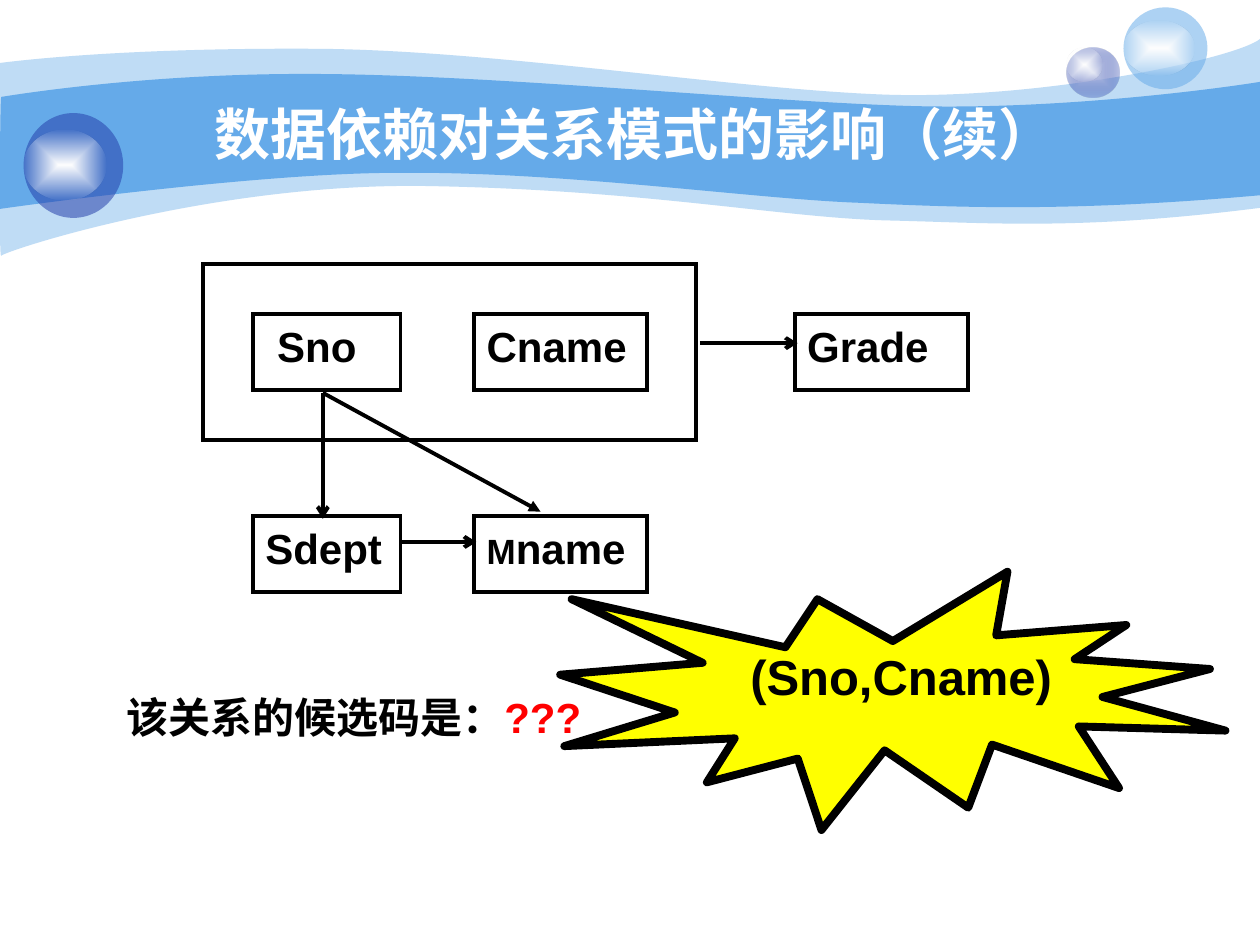
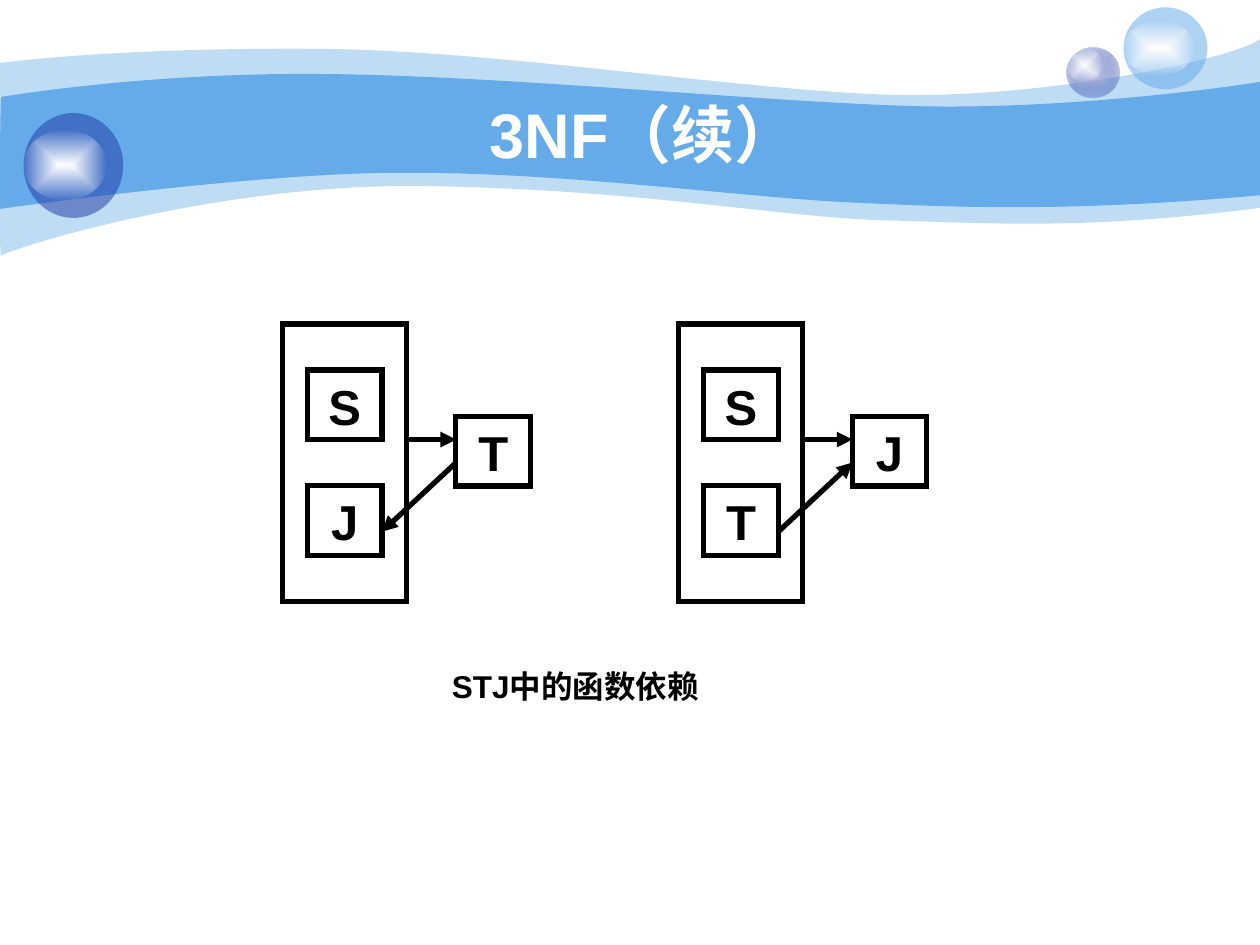
from dataclasses import dataclass

from lxml import etree
from pptx import Presentation
from pptx.dml.color import RGBColor
from pptx.enum.shapes import MSO_CONNECTOR, MSO_SHAPE
from pptx.enum.text import MSO_ANCHOR, PP_ALIGN
from pptx.oxml.ns import qn
from pptx.util import Pt

RECTANGLE = MSO_SHAPE.RECTANGLE
OVAL = MSO_SHAPE.OVAL
SEAL = MSO_SHAPE.EXPLOSION1
STRAIGHT = MSO_CONNECTOR.STRAIGHT
TOP, MIDDLE = MSO_ANCHOR.TOP, MSO_ANCHOR.MIDDLE
LEFT, CENTER = PP_ALIGN.LEFT, PP_ALIGN.CENTER
BLANK_LAYOUT = 6


@dataclass(frozen=True)
class Theme:
    font: str = "Arial"
    white: str = "FFFFFF"
    ink: str = "000000"
    sky: str = "65AAE9"
    deep: str = "233DA9"
    lilac: str = "C7CEE9"
    yellow: str = "FFFF00"
    red: str = "FF0000"
    title: float = 32
    title_large: float = 36
    letter: float = 28
    body: float = 24
    initial: float = 20
    caption: float = 18


THEME = Theme()

# Each band: start point, then its sides; six numbers make a curve, two a line
WIDE_BAND = ((0, 36), [
    (17.3, 33.8, 77, 27.4, 177.8, 27.9),
    (277.9, 28.1, 414, 50.4, 503.3, 54),
    (591.8, 57.6, 705.6, 33.8, 720, 22.3),
    (720, 118.8),
    (617.8, 131.8, 566.6, 127.4, 507.6, 126),
    (447.8, 124.6, 370.8, 108.7, 247, 106.4),
    (123.8, 103.7, 2.9, 143.3, 0.7, 146.2),
    (-0.7, 149.8, 0, 54, 0, 36),
])
CORE_BAND = ((0.7, 55.4), [
    (1.4, 55.4, 79.2, 41.8, 178.6, 42.3),
    (277.9, 42.5, 428.4, 57.6, 517, 60.5),
    (605.5, 63.4, 702.7, 49.7, 720, 46.8),
    (720, 111.6),
    (614.2, 121, 550.8, 118.8, 491, 115.9),
    (431.3, 113.8, 321.8, 97.9, 228.2, 98.8),
    (146.2, 98.6, -1.4, 119.5, -0.7, 119.5),
    (0, 119.5, 0, 55.4, 0.7, 55.4),
])

# Each ball: its box, the box of its glow, its gradient stops (colour, opacity)
BALLS = [
    ((609.6, 27.1, 30.2, 28.8), (609.6, 27.1, 20.2, 19.4),
     [(THEME.lilac, 100), (THEME.deep, 31)]),
    ((642, 4.2, 48, 46.8), (642, 12.1, 40.3, 31), [(THEME.sky, 53)]),
    ((13.5, 64.6, 56.9, 59.9), (13.5, 74.4, 47.3, 40.1), [(THEME.deep, 53)]),
]
GLOW = [(THEME.white, 100), (THEME.white, 0)]


def child(parent, tag, **attributes):
    return etree.SubElement(parent, qn(tag), attributes)


def add_colour(parent, colour, opacity):
    node = child(parent, "a:srgbClr", val=colour)
    if opacity < 100:
        child(node, "a:alpha", val=str(opacity * 1000))


def paint(shape, stops):
    """One stop gives a plain fill, two a gradient from the centre outwards."""
    shape.fill.background()
    empty = shape._element.spPr.find(qn("a:noFill"))
    if len(stops) == 1:
        fill = etree.Element(qn("a:solidFill"))
        add_colour(fill, *stops[0])
    else:
        fill = etree.Element(qn("a:gradFill"), rotWithShape="1")
        stop_list = child(fill, "a:gsLst")
        for index, stop in enumerate(stops):
            add_colour(child(stop_list, "a:gs", pos=str(index * 100000)), *stop)
        middle = dict.fromkeys("ltrb", "50000")
        child(child(fill, "a:path", path="rect"), "a:fillToRect", **middle)
    empty.getparent().replace(empty, fill)


def add_figure(page, kind, box, stops=None, line=None):
    shape = page.shapes.add_shape(kind, *(Pt(value) for value in box))
    shape.shadow.inherit = False
    if stops:
        paint(shape, stops)
    else:
        shape.fill.background()
    if line:
        shape.line.color.rgb = RGBColor.from_string(THEME.ink)
        shape.line.width = Pt(line)
    else:
        shape.line.fill.background()
    return shape


def add_frame(page, box, line):
    """An unfilled rectangle with sharp corners."""
    shape = add_figure(page, RECTANGLE, box, line=line)
    child(shape.line._get_or_add_ln(), "a:miter", lim="800000")
    return shape


def write(shape, text, size=THEME.body, colour=THEME.ink, align=LEFT,
          anchor=TOP, indent=0, spacing=None):
    """Text is a string, or a list of (string, size, colour) spans."""
    frame = shape.text_frame
    frame.word_wrap = True
    frame.vertical_anchor = anchor
    frame.margin_left = Pt(7.2 + indent)
    para = frame.paragraphs[0]
    para.alignment = align
    if spacing:
        para.line_spacing = spacing
    spans = [(text, size, colour)] if isinstance(text, str) else text
    for words, span_size, span_colour in spans:
        span = para.add_run()
        span.text = words
        span.font.name = THEME.font
        span.font.size = Pt(span_size)
        span.font.bold = True
        span.font.color.rgb = RGBColor.from_string(span_colour)


def add_text(page, box, text, **format):
    shape = page.shapes.add_textbox(*(Pt(value) for value in box))
    write(shape, text, **format)


def add_arrow(page, start, end, origin, width, head="triangle"):
    left, top = origin
    arrow = page.shapes.add_connector(
        STRAIGHT, Pt(left + start[0]), Pt(top + start[1]),
        Pt(left + end[0]), Pt(top + end[1]))
    arrow.line.color.rgb = RGBColor.from_string(THEME.ink)
    arrow.line.width = Pt(width)
    child(arrow.line._get_or_add_ln(), "a:tailEnd", type=head)
    child(arrow._element.spPr, "a:effectLst")


def add_band(page, band, opacity):
    """Draw the control polygon, then turn each three segments into a curve."""
    start, sides = band
    points = [(Pt(x), Pt(y)) for side in sides
              for x, y in zip(side[::2], side[1::2])]
    builder = page.shapes.build_freeform(Pt(start[0]), Pt(start[1]), scale=1.0)
    builder.add_line_segments(points, close=True)
    shape = builder.convert_to_shape()
    segments = iter(list(shape._element.iter(qn("a:lnTo"))))
    for side in sides:
        parts = [next(segments) for _ in range(len(side) // 2)]
        if len(parts) == 3:
            curve = etree.Element(qn("a:cubicBezTo"))
            parts[0].addprevious(curve)
            for part in parts:
                curve.append(part[0])
                part.getparent().remove(part)
    shape.shadow.inherit = False
    paint(shape, [(THEME.sky, opacity)])
    shape.line.fill.background()


def add_page(deck, title, size, indent=0):
    """A page with the wavy bands, the balls and the title."""
    page = deck.slides.add_slide(deck.slide_layouts[BLANK_LAYOUT])
    add_band(page, WIDE_BAND, 41)
    add_band(page, CORE_BAND, 100)
    for ball, glow, stops in BALLS:
        add_figure(page, OVAL, ball, stops)
        add_figure(page, OVAL, glow, GLOW)
    add_text(page, (72, 54, 581.8, 44.6), title, size=size, colour=THEME.white,
             align=CENTER, anchor=MIDDLE, indent=indent)
    return page


def add_attribute_diagram(page, left, top):
    """Attributes of the relation and the dependencies between them."""
    line, height = 2.25, 43.4
    columns = [(28.5, 84.4), (155, 98.8), (338.2, 98.8)]
    rows = [28.6, 144]
    mname = [("M", THEME.initial, THEME.ink), ("name", THEME.body, THEME.ink)]
    attributes = [("Sno", 0, 0, 6.7), ("Cname", 1, 0, 0), ("Grade", 2, 0, 0),
                  ("Sdept", 0, 1, 0), (mname, 1, 1, 0)]
    add_frame(page, (left, top, 281.5, 100.8), line)
    for text, column, row, indent in attributes:
        x, width = columns[column]
        box = (left + x, top + rows[row], width, height)
        write(add_frame(page, box, line), text, indent=indent)

    # Dependencies
    sno_foot = (68.5, 73.6)
    for start, end, head in [
        (sno_foot, (68.5, 145.6), "arrow"),
        ((113.7, 158.8), (156.2, 158.8), "arrow"),
        ((283.9, 45.2), (339.8, 45.2), "arrow"),
        (sno_foot, (192.9, 141.5), "triangle"),
    ]:
        add_arrow(page, start, end, (left, top), line, head)


def add_key_pair(page, left, top, upper, lower, target, back):
    """A framed pair that determines a target; back turns the slanted arrow."""
    line = 3
    add_frame(page, (left, top, 70.9, 158.6), line)
    for letter, x, y in [(upper, 14.3, 26.3), (lower, 14.3, 92.5),
                         (target, 99.2, 52.9)]:
        box = (left + x, top + y, 42.7, 39.8)
        write(add_frame(page, box, line), letter,
              size=THEME.letter, align=CENTER)
    slant = [(56.9, 118.8), (99.4, 79.2)]
    if back:
        slant.reverse()
    for start, end in [((71.3, 66.1), (99.4, 66.1)), slant]:
        add_arrow(page, start, end, (left, top), line)


def build_influence_page(deck):
    page = add_page(deck, "数据依赖对关系模式的影响（续）", THEME.title)
    add_attribute_diagram(page, 116, 150.9)
    # Question and answer
    add_text(page, (65.1, 394.6, 311.8, 33.1),
             [("该关系的候选码是：", THEME.body, THEME.ink),
              ("???", THEME.body, THEME.red)], spacing=0.9)
    seal = add_figure(page, SEAL, (320.1, 326.7, 380.2, 147.6),
                      [(THEME.yellow, 100)], line=4.5)
    write(seal, "(Sno,Cname)", size=THEME.letter, indent=20, spacing=0.9)


def build_third_form_page(deck):
    page = add_page(deck, "3NF（续）", THEME.title_large, indent=10)
    add_key_pair(page, 161.3, 185.1, "S", "J", "T", back=True)
    add_key_pair(page, 387.8, 185.1, "S", "T", "J", back=False)
    add_text(page, (246.6, 377.6, 164.2, 39.6), "STJ中的函数依赖",
             size=THEME.caption, align=CENTER)


def main():
    deck = Presentation()
    deck.slide_width, deck.slide_height = Pt(720), Pt(540)
    build_influence_page(deck)
    build_third_form_page(deck)
    deck.save("out.pptx")


if __name__ == "__main__":
    main()
